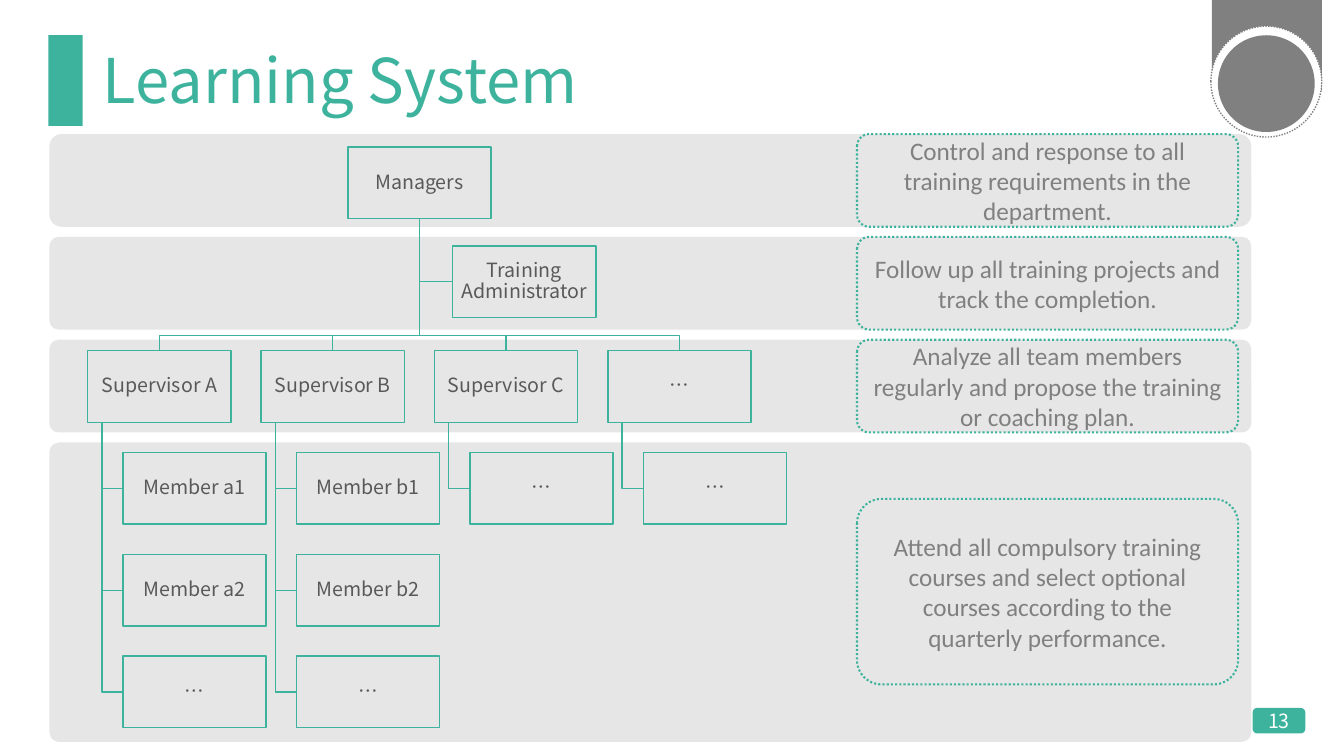
from dataclasses import dataclass

from lxml import etree
from pptx import Presentation
from pptx.dml.color import RGBColor
from pptx.enum.dml import MSO_LINE
from pptx.enum.shapes import MSO_SHAPE
from pptx.enum.text import MSO_ANCHOR, MSO_AUTO_SIZE, PP_ALIGN
from pptx.oxml.ns import qn
from pptx.util import Inches, Pt

RECTANGLE = MSO_SHAPE.RECTANGLE
ROUNDED = MSO_SHAPE.ROUNDED_RECTANGLE
OVAL = MSO_SHAPE.OVAL
DOTTED = MSO_LINE.ROUND_DOT
MIDDLE = MSO_ANCHOR.MIDDLE
CENTER = PP_ALIGN.CENTER
LEFT = PP_ALIGN.LEFT
NO_AUTOFIT = MSO_AUTO_SIZE.NONE

COLORS = {
    "teal": "3DB39E",
    "gray": "808080",
    "dark": "595959",
    "band": "E7E6E6",
    "white": "FFFFFF",
}
ORG_FONT = "Noto Sans CJK SC"
NOTE_FONT = "Calibri"

NODE_WIDTH, NODE_HEIGHT = 1.42, 0.71
MANAGER_LEFT, MANAGER_TOP = 3.45, 1.46
ADMIN_LEFT, ADMIN_TOP = 4.49, 2.44
TEAM_LEFT, TEAM_TOP, TEAM_STEP = 0.87, 3.48, 1.72
MEMBER_INDENT, MEMBER_TOP, MEMBER_STEP = 0.35, 4.49, 1.01
SPINE_INDENT = 0.14
BUS_TOP = 3.33
BAND_LEFT, BAND_WIDTH = 0.49, 11.92
NOTE_LEFT, NOTE_WIDTH, NOTE_CORNER = 8.5, 3.78, 0.132


@dataclass
class Box:
    left: float
    top: float
    width: float
    height: float
    kind: int = RECTANGLE
    fill: str | None = None
    line: str | None = None
    weight: float = 1
    dash: int | None = None
    corner: float | None = None


@dataclass
class TextStyle:
    font: str
    size: float
    color: str
    align: int = CENTER
    spacing: float = 1.0
    margin: tuple[float, float] = (0.1, 0.05)


@dataclass
class Level:
    top: float
    height: float
    corner: float
    note: str
    note_top: float
    note_height: float


@dataclass
class Team:
    supervisor: str
    members: list[str]


TITLE_STYLE = TextStyle(ORG_FONT, 44, "teal", LEFT, 0.9)
NODE_STYLE = TextStyle(ORG_FONT, 14, "dark", CENTER, 0.9, (0.01, 0.01))
NOTE_STYLE = TextStyle(NOTE_FONT, 18, "gray")
NUMBER_STYLE = TextStyle(ORG_FONT, 14, "white", margin=(0, 0))

DECORATIONS = [
    Box(0.48, 0.35, 0.34, 0.9, fill="teal"),
    Box(12.02, -0.01, 1.09, 0.91, fill="gray"),
    Box(12.01, 0.26, 1.1, 1.1, OVAL, "white", "gray", 1, DOTTED),
    Box(12.08, 0.35, 0.96, 0.96, OVAL, "gray"),
]
PAGE_BADGE = Box(12.43, 7.03, 0.51, 0.24, ROUNDED, "teal", "teal")

LEVELS = [
    Level(1.33, 0.92, 0.132,
          "Control and response to all training requirements in the department.", 1.33, 0.92),
    Level(2.35, 0.92, 0.098,
          "Follow up all training projects and track the completion.", 2.35, 0.92),
    Level(3.37, 0.92, 0.098,
          "Analyze all team members regularly and propose the training or coaching plan.",
          3.37, 0.92),
    Level(4.39, 2.97, 0.033,
          "Attend all compulsory training courses and select optional courses "
          "according to the quarterly performance.", 4.95, 1.84),
]
TEAMS = [
    Team("Supervisor A", ["Member a1", "Member a2", "…"]),
    Team("Supervisor B", ["Member b1", "Member b2", "…"]),
    Team("Supervisor C", ["…"]),
    Team("…", ["…"]),
]


def rgb(name: str) -> RGBColor:
    return RGBColor.from_string(COLORS[name])


def write_text(shape, text: str, style: TextStyle) -> None:
    frame = shape.text_frame
    frame.text = text
    frame.word_wrap = True
    frame.auto_size = NO_AUTOFIT
    frame.vertical_anchor = MIDDLE
    frame.margin_left = frame.margin_right = Inches(style.margin[0])
    frame.margin_top = frame.margin_bottom = Inches(style.margin[1])
    para = frame.paragraphs[0]
    para.alignment = style.align
    para.line_spacing = style.spacing
    for span in para.runs:
        span.font.name = style.font
        span.font.size = Pt(style.size)
        span.font.color.rgb = rgb(style.color)
        east_asian = etree.SubElement(span.font._element, qn("a:ea"))
        east_asian.set("typeface", style.font)


def draw_box(page, box: Box):
    shape = page.shapes.add_shape(
        box.kind, Inches(box.left), Inches(box.top), Inches(box.width), Inches(box.height))
    shape.shadow.inherit = False
    if box.fill:
        shape.fill.solid()
        shape.fill.fore_color.rgb = rgb(box.fill)
    else:
        shape.fill.background()
    if box.line:
        shape.line.color.rgb = rgb(box.line)
        shape.line.width = Pt(box.weight)
        if box.dash is not None:
            shape.line.dash_style = box.dash
    else:
        shape.line.fill.background()
    if box.corner is not None:
        shape.adjustments[0] = box.corner
    return shape


def draw_branch(page, points: list[tuple[float, float]]) -> None:
    corners = [(Inches(x), Inches(y)) for x, y in points]
    builder = page.shapes.build_freeform(*corners[0], scale=1.0)
    builder.add_line_segments(corners[1:], close=False)
    branch = builder.convert_to_shape()
    branch.shadow.inherit = False
    branch.fill.background()
    branch.line.color.rgb = rgb("teal")
    branch.line.width = Pt(1)


def draw_node(page, left: float, top: float, label: str) -> None:
    node = draw_box(page, Box(left, top, NODE_WIDTH, NODE_HEIGHT, line="teal"))
    write_text(node, label, NODE_STYLE)


def draw_team(page, left: float, team: Team) -> None:
    draw_node(page, left, TEAM_TOP, team.supervisor)
    spine, member_left = left + SPINE_INDENT, left + MEMBER_INDENT
    for row, member in enumerate(team.members):
        top = MEMBER_TOP + row * MEMBER_STEP
        middle = top + NODE_HEIGHT / 2
        draw_branch(page, [(spine, TEAM_TOP + NODE_HEIGHT), (spine, middle),
                           (member_left, middle)])
        draw_node(page, member_left, top, member)


def draw_organization(page) -> None:
    trunk, trunk_top = MANAGER_LEFT + NODE_WIDTH / 2, MANAGER_TOP + NODE_HEIGHT
    admin_middle = ADMIN_TOP + NODE_HEIGHT / 2
    draw_branch(page, [(trunk, trunk_top), (trunk, admin_middle), (ADMIN_LEFT, admin_middle)])
    draw_node(page, MANAGER_LEFT, MANAGER_TOP, "Managers")
    draw_node(page, ADMIN_LEFT, ADMIN_TOP, "Training Administrator")
    for column, team in enumerate(TEAMS):
        left = TEAM_LEFT + column * TEAM_STEP
        center = left + NODE_WIDTH / 2
        draw_branch(page, [(trunk, trunk_top), (trunk, BUS_TOP), (center, BUS_TOP),
                           (center, TEAM_TOP)])
        draw_team(page, left, team)


def main() -> None:
    deck = Presentation()
    deck.slide_width, deck.slide_height = Inches(13.33), Inches(7.5)
    page = deck.slides.add_slide(deck.slide_layouts[5])
    title = page.shapes.title
    title.left, title.top = Inches(0.92), Inches(0.4)
    title.width, title.height = Inches(11.5), Inches(0.85)
    write_text(title, "Learning System", TITLE_STYLE)

    write_text(draw_box(page, PAGE_BADGE), "13", NUMBER_STYLE)
    for decoration in DECORATIONS:
        draw_box(page, decoration)
    for level in LEVELS:
        draw_box(page, Box(BAND_LEFT, level.top, BAND_WIDTH, level.height, ROUNDED,
                           "band", corner=level.corner))
    draw_organization(page)
    for level in LEVELS:
        note = draw_box(page, Box(NOTE_LEFT, level.note_top, NOTE_WIDTH, level.note_height,
                                  ROUNDED, None, "teal", 1.5, DOTTED, NOTE_CORNER))
        write_text(note, level.note, NOTE_STYLE)
    deck.save("out.pptx")


if __name__ == "__main__":
    main()
